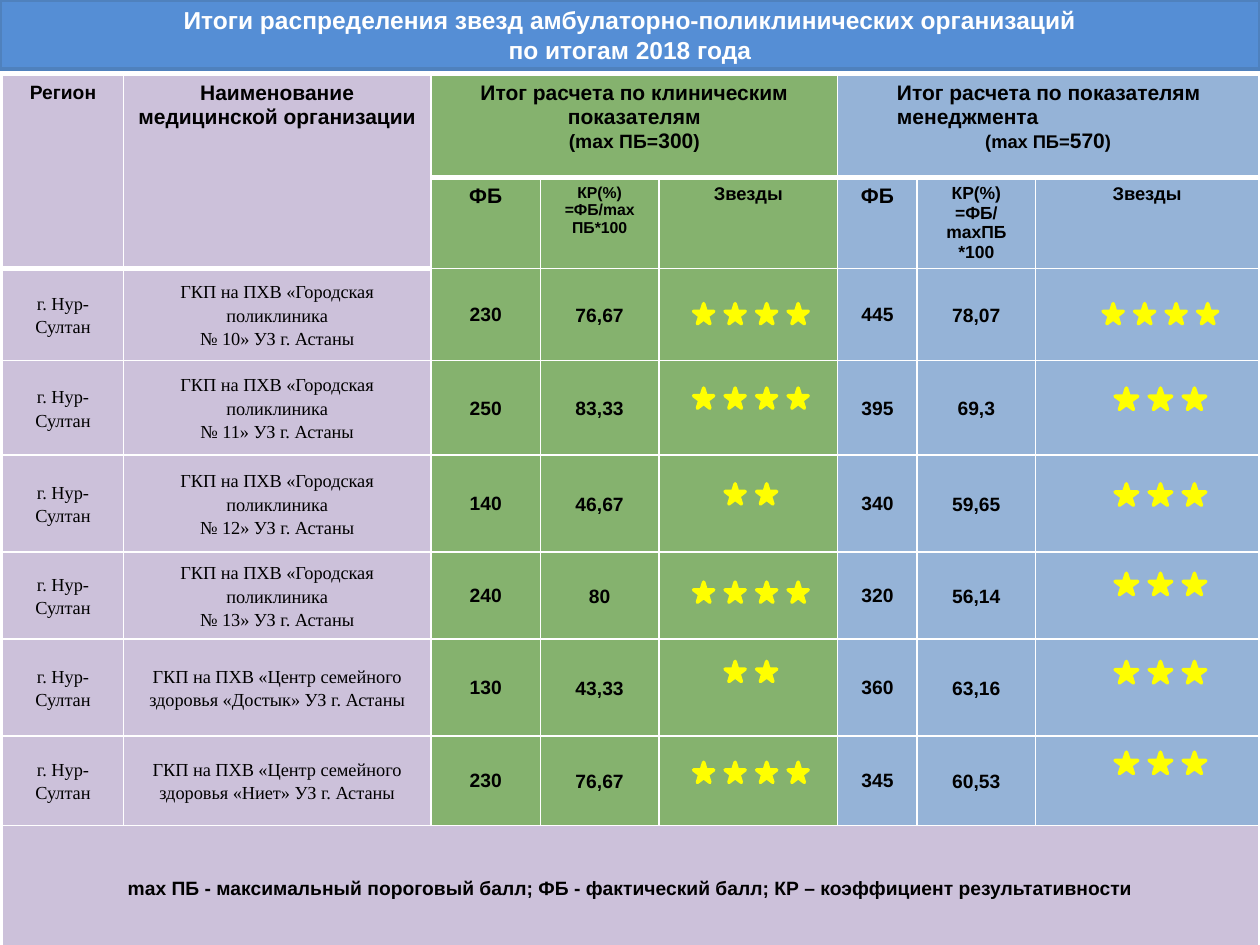
from lxml import etree
from pptx import Presentation
from pptx.dml.color import RGBColor
from pptx.enum.shapes import MSO_SHAPE
from pptx.enum.text import MSO_ANCHOR, PP_ALIGN
from pptx.oxml.ns import qn
from pptx.util import Inches, Pt

STAR = MSO_SHAPE.STAR_5_POINT
TOP, MIDDLE = MSO_ANCHOR.TOP, MSO_ANCHOR.MIDDLE
CENTER, LEFT = PP_ALIGN.CENTER, PP_ALIGN.LEFT
SANS, SERIF = "Arial", "Times New Roman"
LILAC, GREEN, BLUE = "CCC1DA", "85B26E", "95B3D7"
WHITE, BLACK, YELLOW = "FFFFFF", "000000", "FFFF00"
TITLE_FILL, TITLE_LINE = "558ED5", "4F81BD"

TITLE = ("Итоги распределения звезд амбулаторно-поликлинических организаций",
         "по итогам 2018 года")

# row, column, rows spanned, columns spanned, fill, paragraphs of (text, size) runs
HEADERS = [
    (0, 0, 2, 1, LILAC, [[("Регион", 11)]]),
    (0, 1, 2, 1, LILAC, [[("Наименование медицинской организации", 12)]]),
    (0, 2, 1, 3, GREEN, [[("Итог расчета по клиническим показателям", 12)],
                         [("(mах ПБ=", 11), ("300", 12), (")", 11)]]),
    (0, 5, 1, 3, BLUE, [[("Итог расчета по показателям менеджмента", 12)],
                        [("(mах ПБ=", 10.5), ("570", 12), (")", 10.5)]]),
    (1, 2, 1, 1, GREEN, [[("ФБ", 12)]]),
    (1, 3, 1, 1, GREEN, [[("КР(%)", 9)], [("=ФБ/mах ПБ*100", 9)]]),
    (1, 4, 1, 1, GREEN, [[("Звезды", 10.5)]]),
    (1, 5, 1, 1, BLUE, [[("ФБ", 12)]]),
    (1, 6, 1, 1, BLUE, [[("КР(%)", 10)], [("=ФБ/mахПБ *100", 10)]]),
    (1, 7, 1, 1, BLUE, [[("Звезды", 10.5)]]),
]
REGION = "г. Нур-Султан"
CLINIC = "ГКП на ПХВ «Городская поликлиника"
# name paragraphs, then score, ratio, star count and star top for each indicator group
ORGANIZATIONS = [
    ([CLINIC, "№ 10» УЗ г. Астаны"], ("230", "76,67", 4, 2.41), ("445", "78,07", 4, 2.41)),
    ([CLINIC, "№ 11» УЗ г. Астаны"], ("250", "83,33", 4, 3.08), ("395", "69,3", 3, 3.08)),
    ([CLINIC, "№ 12» УЗ г. Астаны"], ("140", "46,67", 2, 3.84), ("340", "59,65", 3, 3.84)),
    ([CLINIC, "№ 13» УЗ г. Астаны"], ("240", "80", 4, 4.62), ("320", "56,14", 3, 4.55)),
    (["ГКП на ПХВ «Центр семейного здоровья «Достык» УЗ г. Астаны"],
     ("130", "43,33", 2, 5.25), ("360", "63,16", 3, 5.25)),
    (["ГКП на ПХВ «Центр семейного здоровья «Ниет» УЗ г. Астаны"],
     ("230", "76,67", 4, 6.05), ("345", "60,53", 3, 5.97)),
]
LEGEND = ("mах ПБ - максимальный пороговый балл; ФБ - фактический балл; "
          "КР – коэффициент результативности")

COLUMN_WIDTHS = [0.96, 2.44, 0.87, 0.94, 1.42, 0.63, 0.94, 1.77]
ROW_HEIGHTS = [0.81, 0.69, 0.73, 0.75, 0.77, 0.69, 0.77, 0.71, 0.98]
# first column, fill, centre of the stars
INDICATOR_GROUPS = [(2, GREEN, 5.96), (5, BLUE, 9.21)]
HEADER_INSETS = (0.1, 0.05, 0.1, 0.05)
TEXT_INSETS = (0.07, 0, 0.07, 0)
SCORE_INSETS = (0.01, 0.01, 0.01, 0)


def rgb(color):
    return RGBColor.from_string(color)


def add_run(paragraph, text, size, font=SANS, bold=True, color=BLACK):
    run = paragraph.add_run()
    run.text = text
    run.font.size, run.font.name, run.font.bold = Pt(size), font, bold
    run.font.color.rgb = rgb(color)


def set_borders(cell, bottom_width=1):
    properties = cell._tc.get_or_add_tcPr()
    for side in "LRTB":
        width = bottom_width if side == "B" else 1
        line = etree.SubElement(properties, qn(f"a:ln{side}"), w=str(Pt(width)))
        fill = etree.SubElement(line, qn("a:solidFill"))
        etree.SubElement(fill, qn("a:srgbClr"), val=WHITE)


def fill_cell(cell, color, paragraphs=(), insets=TEXT_INSETS, anchor=MIDDLE,
              spacing=None, bottom_width=1, **font):
    set_borders(cell, bottom_width)
    cell.fill.solid()
    cell.fill.fore_color.rgb = rgb(color)
    cell.vertical_anchor = anchor
    (cell.margin_left, cell.margin_top,
     cell.margin_right, cell.margin_bottom) = map(Inches, insets)
    frame = cell.text_frame
    for index, runs in enumerate(paragraphs):
        paragraph = frame.add_paragraph() if index else frame.paragraphs[0]
        paragraph.alignment = CENTER
        if spacing:
            paragraph.line_spacing = spacing
        for text, size in runs:
            add_run(paragraph, text, size, **font)


def add_stars(slide, count, center, top):
    width, height, step = (0.18, 0.17, 0.27) if count == 3 else (0.16, 0.16, 0.25)
    left = center - ((count - 1) * step + width) / 2
    group = slide.shapes.add_group_shape()
    for index in range(count):
        star = group.shapes.add_shape(STAR, Inches(left + index * step), Inches(top),
                                      Inches(width), Inches(height))
        star.shadow.inherit = False
        star.fill.solid()
        star.fill.fore_color.rgb = rgb(YELLOW)
        star.line.color.rgb = rgb(YELLOW)
        star.line.width = Pt(2)


def add_title(slide):
    title = slide.shapes.title
    title.left, title.top, title.width, title.height = map(Inches, (0, 0, 10, 0.55))
    title.fill.solid()
    title.fill.fore_color.rgb = rgb(TITLE_FILL)
    title.line.color.rgb = rgb(TITLE_LINE)
    title.line.width = Pt(2)
    title.text_frame.vertical_anchor = MIDDLE
    paragraph = title.text_frame.paragraphs[0]
    paragraph.alignment = CENTER
    for index, line in enumerate(TITLE):
        if index:
            paragraph.add_line_break()
        add_run(paragraph, line, 14, color=WHITE)


def add_results_table(slide):
    table = slide.shapes.add_table(
        len(ROW_HEIGHTS), len(COLUMN_WIDTHS), Inches(0.02), Inches(0.6),
        Inches(sum(COLUMN_WIDTHS)), Inches(sum(ROW_HEIGHTS))).table
    table.first_row = table.horz_banding = False
    for column, width in zip(table.columns, COLUMN_WIDTHS):
        column.width = Inches(width)
    for row, height in zip(table.rows, ROW_HEIGHTS):
        row.height = Inches(height)

    for row, column, row_span, column_span, color, paragraphs in HEADERS:
        cell = table.cell(row, column)
        if row_span * column_span > 1:
            cell.merge(table.cell(row + row_span - 1, column + column_span - 1))
        fill_cell(cell, color, paragraphs, HEADER_INSETS, TOP,
                  bottom_width=1 if row else 3)
    management = table.cell(0, 5).text_frame.paragraphs[0]
    management.alignment = LEFT
    management._p.get_or_add_pPr().set("marL", str(Inches(0.37)))

    for row, (name, *results) in enumerate(ORGANIZATIONS, start=2):
        for column, lines in enumerate(([REGION], name)):
            fill_cell(table.cell(row, column), LILAC, [[(line, 10.5)] for line in lines],
                      spacing=1.15, font=SERIF, bold=False)
        for (first, color, center), (score, ratio, stars, top) in zip(INDICATOR_GROUPS, results):
            fill_cell(table.cell(row, first), color, [[(score, 11)]], SCORE_INSETS)
            fill_cell(table.cell(row, first + 1), color, [[(ratio, 11)]], spacing=1.15)
            fill_cell(table.cell(row, first + 2), color)
            add_stars(slide, stars, center, top)

    last = len(ROW_HEIGHTS) - 1
    legend = table.cell(last, 0)
    legend.merge(table.cell(last, len(COLUMN_WIDTHS) - 1))
    fill_cell(legend, LILAC, [[(LEGEND, 11)]], spacing=1.15)


def main():
    presentation = Presentation()
    presentation.slide_width, presentation.slide_height = Inches(10), Inches(7.5)
    slide = presentation.slides.add_slide(presentation.slide_layouts[5])
    add_title(slide)
    add_results_table(slide)
    presentation.save("out.pptx")


if __name__ == "__main__":
    main()
